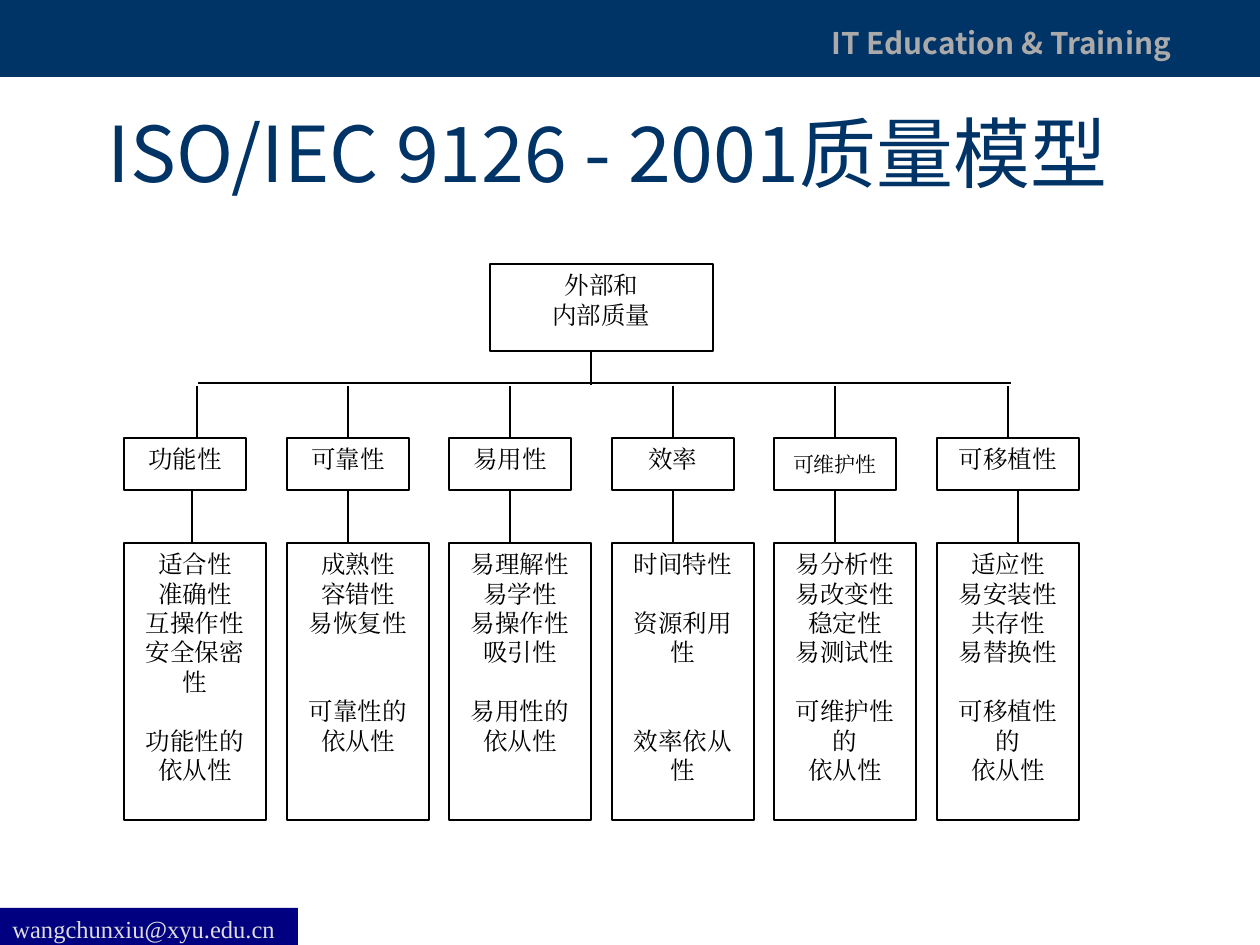
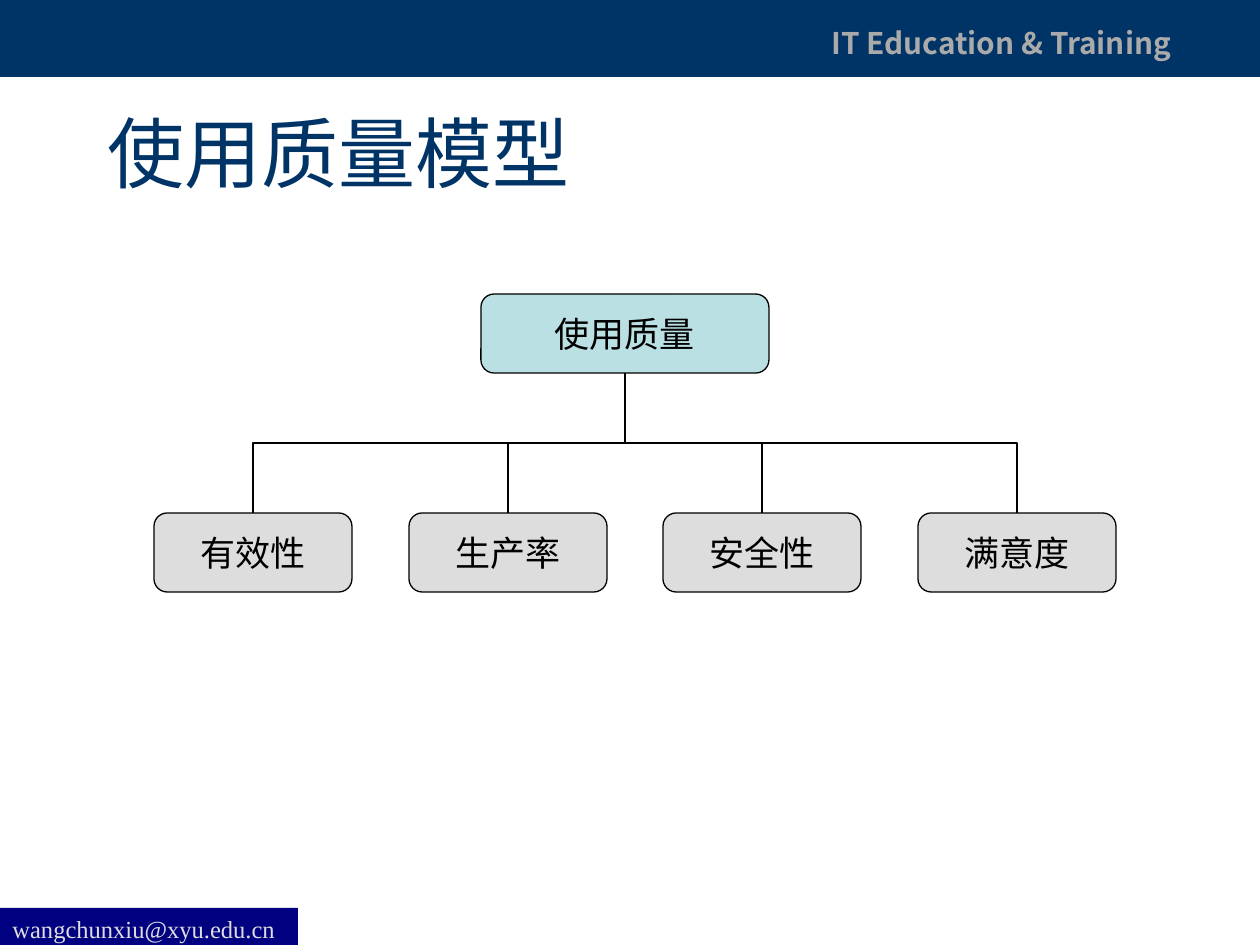
"""Build two slides on software quality models."""
from dataclasses import dataclass

from lxml import etree
from pptx import Presentation
from pptx.dml.color import RGBColor
from pptx.enum.shapes import MSO_CONNECTOR, MSO_SHAPE
from pptx.enum.text import MSO_ANCHOR, PP_ALIGN
from pptx.oxml.ns import qn
from pptx.util import Emu, Pt

RECTANGLE, ROUNDED = MSO_SHAPE.RECTANGLE, MSO_SHAPE.ROUNDED_RECTANGLE
STRAIGHT, ELBOW = MSO_CONNECTOR.STRAIGHT, MSO_CONNECTOR.ELBOW
TOP, MIDDLE = MSO_ANCHOR.TOP, MSO_ANCHOR.MIDDLE
LEFT, CENTER = PP_ALIGN.LEFT, PP_ALIGN.CENTER
TOP_SIDE, BOTTOM_SIDE = 0, 2
TITLE_ONLY = 5

EMU_PER_PX = 914400 / 126
NAVY, FOOTER_BLUE = "003366", "000080"
BLACK, WHITE = "000000", "FFFFFF"
SILVER, PALE_GREY, PALE_TEAL = "AAAAAA", "DDDDDD", "BBE0E3"
SANS, SANS_HEADER, SERIF = "Noto Sans CJK SC", "Noto Sans CJK TC", "Times New Roman"
LINE_PITCH = 16.8


@dataclass(frozen=True)
class Area:
    left: int
    top: int
    width: int
    height: int

    @property
    def center(self) -> int:
        return self.left + self.width // 2

    @property
    def bottom(self) -> int:
        return self.top + self.height

    def emu(self) -> tuple:
        return px(self.left), px(self.top), px(self.width), px(self.height)


@dataclass(frozen=True)
class TextStyle:
    size: int
    font: str
    color: str
    bold: bool = False
    align: PP_ALIGN = LEFT
    anchor: MSO_ANCHOR = TOP
    wrap: bool = True
    pitch: float | None = None


@dataclass(frozen=True)
class Line:
    text: str
    blank_before: int = 0


@dataclass(frozen=True)
class Branch:
    name: str
    details: tuple
    upper_shift: int = 0
    lower_shift: int = 0
    width: int = 122


HEADER_STYLE = TextStyle(17, SANS_HEADER, SILVER, bold=True)
FOOTER_STYLE = TextStyle(14, SERIF, PALE_GREY)
TITLE_STYLE = TextStyle(44, SANS, NAVY, anchor=MIDDLE)
MODEL_STYLE = TextStyle(14, SERIF, BLACK, align=CENTER, pitch=LINE_PITCH)
SMALL_STYLE = TextStyle(12, SERIF, BLACK, align=CENTER, anchor=MIDDLE)
NODE_STYLE = TextStyle(20, SANS, BLACK, align=CENTER, anchor=MIDDLE, wrap=False)

BRANCHES = (
    Branch("功能性", (Line("适合性"), Line("准确性"), Line("互操作性"), Line("安全保密性"),
                   Line("功能性的", 1), Line("依从性")), 12, 7),
    Branch("可靠性", (Line("成熟性"), Line("容错性"), Line("易恢复性"),
                   Line("可靠性的", 2), Line("依从性"))),
    Branch("易用性", (Line("易理解性"), Line("易学性"), Line("易操作性"), Line("吸引性"),
                   Line("易用性的", 1), Line("依从性"))),
    Branch("效率", (Line("时间特性"), Line("资源利用性", 1), Line("效率依从性", 2))),
    Branch("可维护性", (Line("易分析性"), Line("易改变性"), Line("稳定性"), Line("易测试性"),
                    Line("可维护性的", 1), Line("依从性"))),
    Branch("可移植性", (Line("适应性"), Line("易安装性"), Line("共存性"), Line("易替换性"),
                    Line("可移植性的", 1), Line("依从性")), 0, 10, 142),
)
USE_QUALITIES = ("有效性", "生产率", "安全性", "满意度")


def px(value: int) -> Emu:
    return Emu(round(value * EMU_PER_PX))


def rgb(color: str) -> RGBColor:
    return RGBColor.from_string(color)


def spread(first: int, last: int, count: int) -> list:
    return [round(first + (last - first) * index / (count - 1)) for index in range(count)]


def write(box, style: TextStyle, *lines: Line) -> None:
    frame = box.text_frame
    frame.word_wrap = style.wrap
    frame.vertical_anchor = style.anchor
    for index, line in enumerate(lines):
        para = frame.paragraphs[0] if index == 0 else frame.add_paragraph()
        para.alignment = style.align
        if style.pitch:
            para.line_spacing = Pt(style.pitch)
            para.space_before = Pt(line.blank_before * style.pitch)
        span = para.add_run()
        span.text = line.text
        span.font.size = Pt(style.size)
        span.font.bold = style.bold
        span.font.name = style.font
        span.font.color.rgb = rgb(style.color)
        east_asian = etree.SubElement(span._r.get_or_add_rPr(), qn("a:ea"))
        east_asian.set("typeface", style.font)


def add_box(page, area: Area, fill: str, line_width: float = 0, kind: MSO_SHAPE = RECTANGLE):
    box = page.shapes.add_shape(kind, *area.emu())
    box.shadow.inherit = False
    box.fill.solid()
    box.fill.fore_color.rgb = rgb(fill)
    if line_width:
        box.line.color.rgb = rgb(BLACK)
        box.line.width = Pt(line_width)
    else:
        box.line.fill.background()
    return box


def add_line(page, start: tuple, end: tuple, width: float = 1, kind: MSO_CONNECTOR = STRAIGHT):
    line = page.shapes.add_connector(kind, *map(px, start + end))
    line.line.color.rgb = rgb(BLACK)
    line.line.width = Pt(width)
    etree.SubElement(line.element.spPr, qn("a:effectLst"))
    return line


def add_branch_elbow(page, parent, child) -> None:
    start_x, start_y = parent.left + parent.width // 2, parent.top + parent.height
    end_x, end_y = child.left + child.width // 2, child.top
    elbow = add_line(page, (0, 0), (1, 1), 0.75, ELBOW)
    elbow.begin_connect(parent, BOTTOM_SIDE)
    elbow.end_connect(child, TOP_SIDE)
    drop, reach = end_y - start_y, abs(end_x - start_x)
    elbow.left = Emu((start_x + end_x - drop) // 2)
    elbow.top = Emu((start_y + end_y - reach) // 2)
    elbow.width, elbow.height = Emu(drop), Emu(reach)
    frame = elbow.element.spPr.find(qn("a:xfrm"))
    for flip in ("flipH", "flipV"):
        frame.attrib.pop(flip, None)
    frame.set("rot", str((90 if end_x < start_x else 270) * 60000))
    if end_x > start_x:
        frame.set("flipH", "1")


def add_page(deck, title: str):
    page = deck.slides.add_slide(deck.slide_layouts[TITLE_ONLY])
    add_box(page, Area(0, 0, 1261, 77), NAVY)
    header = page.shapes.add_textbox(*Area(819, 19, 432, 48).emu())
    write(header, HEADER_STYLE, Line("IT Education & Training"))
    footer = add_box(page, Area(0, 908, 298, 37), FOOTER_BLUE)
    write(footer, FOOTER_STYLE, Line("wangchunxiu@xyu.edu.cn"))
    heading = page.shapes.title
    heading.left, heading.top, heading.width, heading.height = Area(95, 86, 1071, 131).emu()
    write(heading, TITLE_STYLE, Line(title))
    return page


def add_quality_model(deck) -> None:
    page = add_page(deck, "ISO/IEC 9126 - 2001质量模型")
    root = add_box(page, Area(490, 264, 223, 87), WHITE, 1)
    write(root, MODEL_STYLE, Line("外部和"), Line("内部质量"))
    add_line(page, (591, 351), (591, 385))
    add_line(page, (198, 383), (1011, 383))
    for left, branch in zip(spread(124, 937, len(BRANCHES)), BRANCHES):
        head_area = Area(left, 438, branch.width, 52)
        detail_area = Area(left, 543, 142, 277)
        head = add_box(page, head_area, WHITE, 1)
        write(head, SMALL_STYLE if branch.name == "可维护性" else MODEL_STYLE, Line(branch.name))
        detail = add_box(page, detail_area, WHITE, 1)
        write(detail, MODEL_STYLE, *branch.details)
        upper_x = head_area.center + branch.upper_shift
        lower_x = head_area.center + branch.lower_shift
        upper = add_line(page, (upper_x, 386), (upper_x, head_area.top))
        lower = add_line(page, (lower_x, head_area.bottom), (lower_x, detail_area.top))
        if not branch.upper_shift:
            upper.end_connect(head, TOP_SIDE)
        if not branch.lower_shift:
            lower.begin_connect(head, BOTTOM_SIDE)


def add_use_model(deck) -> None:
    page = add_page(deck, "使用质量模型")
    root = add_box(page, Area(481, 294, 288, 79), PALE_TEAL, 0.75, ROUNDED)
    write(root, NODE_STYLE, Line("使用质量"))
    for left, name in zip(spread(154, 918, len(USE_QUALITIES)), USE_QUALITIES):
        node = add_box(page, Area(left, 513, 198, 79), PALE_GREY, 0.75, ROUNDED)
        write(node, NODE_STYLE, Line(name))
        add_branch_elbow(page, root, node)


def main() -> None:
    deck = Presentation()
    deck.slide_width, deck.slide_height = px(1260), px(945)
    add_quality_model(deck)
    add_use_model(deck)
    deck.save("out.pptx")


if __name__ == "__main__":
    main()
